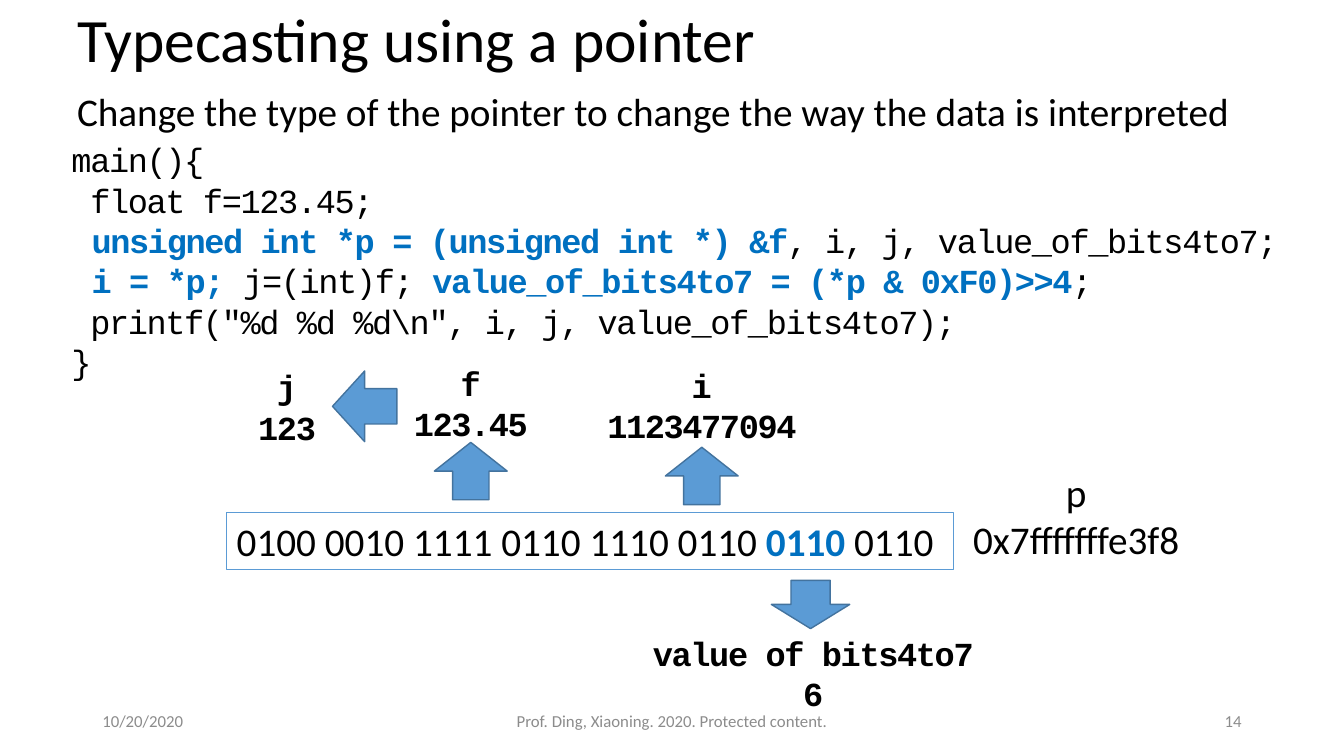
import pptx
import pptx.dml.color
import pptx.enum.shapes
import pptx.enum.text
import pptx.util

Pt = pptx.util.Pt
ALIGN = pptx.enum.text.PP_ALIGN
ANCHOR = pptx.enum.text.MSO_ANCHOR
SHAPE = pptx.enum.shapes.MSO_SHAPE

# Content: a line is a list of (text, highlighted) runs
TITLE = "Typecasting using a pointer"
SUBTITLE = "Change the type of the pointer to change the way the data is interpreted"
CODE = [
    [("main(){", False)],
    [(" float f=123.45;", False)],
    [(" ", False), ("unsigned int *p = (unsigned int *) &f", True),
     (", i, j, value_of_bits4to7;", False)],
    [(" ", False), ("i = *p; ", True), ("j=(int)f;", False),
     (" value_of_bits4to7 = (*p & 0xF0)>>4", True), (";", False)],
    [(' printf("%d %d %d\\n", i, j, value_of_bits4to7);', False)],
    [("}", False)],
]
BITS = [[("0100 0010 1111 0110 1110 0110 ", False), ("0110", True), (" 0110", False)]]
POINTER = ["p", "0x7fffffffe3f8"]
# Name, value, centre x, top, width
VALUES = [
    ("f", "123.45", 336.3, 255.5, 101),
    ("i", "1123477094", 501.3, 257, 165),
    ("j", "123", 205, 258, 60),
    ("value of bits4to7", "6", 580.8, 448.5, 258.5),
]
# Preset, centre x, top, width, height
ARROWS = [
    (SHAPE.UP_ARROW, 336.3, 316, 52, 41),
    (SHAPE.UP_ARROW, 501.3, 319.5, 52, 41),
    (SHAPE.LEFT_ARROW, 260.5, 265, 46, 50.5),
    (SHAPE.DOWN_ARROW, 579, 414.5, 56, 34.5),
]
# Text, left, width, alignment
FOOTERS = [
    ("10/20/2020", 66, 216, ALIGN.LEFT),
    ("Prof. Ding, Xiaoning. 2020. Protected content.", 318, 324, ALIGN.CENTER),
    ("14", 678, 216, ALIGN.RIGHT),
]

THEME = {
    "text": "000000", "highlight": "0070C0", "muted": "8C8C8C",
    "fill": "5B9BD5", "outline": "43739E",
    "body_font": "Calibri", "code_font": "Courier New",
    "title": 44, "body": 28, "code": 24, "footer": 12,
}


def color(name):
    return pptx.dml.color.RGBColor.from_string(THEME[name])


def write(shape, lines, size, font="body_font", ink="text", bold=False,
          align=ALIGN.LEFT, anchor=ANCHOR.TOP, spacing=1.0):
    frame = shape.text_frame
    frame.word_wrap = True
    frame.vertical_anchor = anchor
    for index, line in enumerate(lines):
        paragraph = frame.add_paragraph() if index else frame.paragraphs[0]
        paragraph.alignment = align
        paragraph.line_spacing = spacing
        for text, highlighted in [(line, False)] if isinstance(line, str) else line:
            run = paragraph.add_run()
            run.text = text
            run.font.name = THEME[font]
            run.font.size = Pt(THEME[size])
            run.font.bold = bold or highlighted
            run.font.color.rgb = color("highlight" if highlighted else ink)
            if font == "code_font":
                run.font._element.set("spc", "-100")  # tighten by one point


def add_text(slide, box, lines, size, **style):
    write(slide.shapes.add_textbox(*map(Pt, box)), lines, size, **style)


def add_preset(slide, preset, box, outline, width):
    shape = slide.shapes.add_shape(preset, *map(Pt, box))
    shape.shadow.inherit = False
    shape.line.color.rgb = color(outline)
    shape.line.width = Pt(width)
    return shape


def main():
    presentation = pptx.Presentation()
    presentation.slide_width, presentation.slide_height = Pt(960), Pt(540)
    slide = presentation.slides.add_slide(presentation.slide_layouts[6])

    # Heading and code
    add_text(slide, (48, 1.5, 828, 57.5), [TITLE], "title",
             anchor=ANCHOR.MIDDLE, spacing=0.9)
    add_text(slide, (48, 62.5, 852.5, 51), [SUBTITLE], "body", spacing=0.9)
    add_text(slide, (44, 96, 888.5, 181.5), CODE, "code", font="code_font")

    # Memory word and its address
    memory = add_preset(slide, SHAPE.RECTANGLE, (162, 366, 519, 41), "fill", 0.75)
    memory.fill.background()
    write(memory, BITS, "body")
    add_text(slide, (668, 331, 201.5, 75), POINTER, "body", align=ALIGN.CENTER)

    # Interpretations of the bits
    for name, value, centre, top, width in VALUES:
        add_text(slide, (centre - width / 2, top, width, 65.5), [name, value],
                 "code", font="code_font", bold=True, align=ALIGN.CENTER)
    for preset, centre, top, width, height in ARROWS:
        arrow = add_preset(slide, preset, (centre - width / 2, top, width, height),
                           "outline", 1)
        arrow.fill.solid()
        arrow.fill.fore_color.rgb = color("fill")

    # Footer
    for text, left, width, align in FOOTERS:
        add_text(slide, (left, 500.5, width, 29), [text], "footer", ink="muted",
                 align=align, anchor=ANCHOR.MIDDLE)

    presentation.save("out.pptx")


if __name__ == "__main__":
    main()
